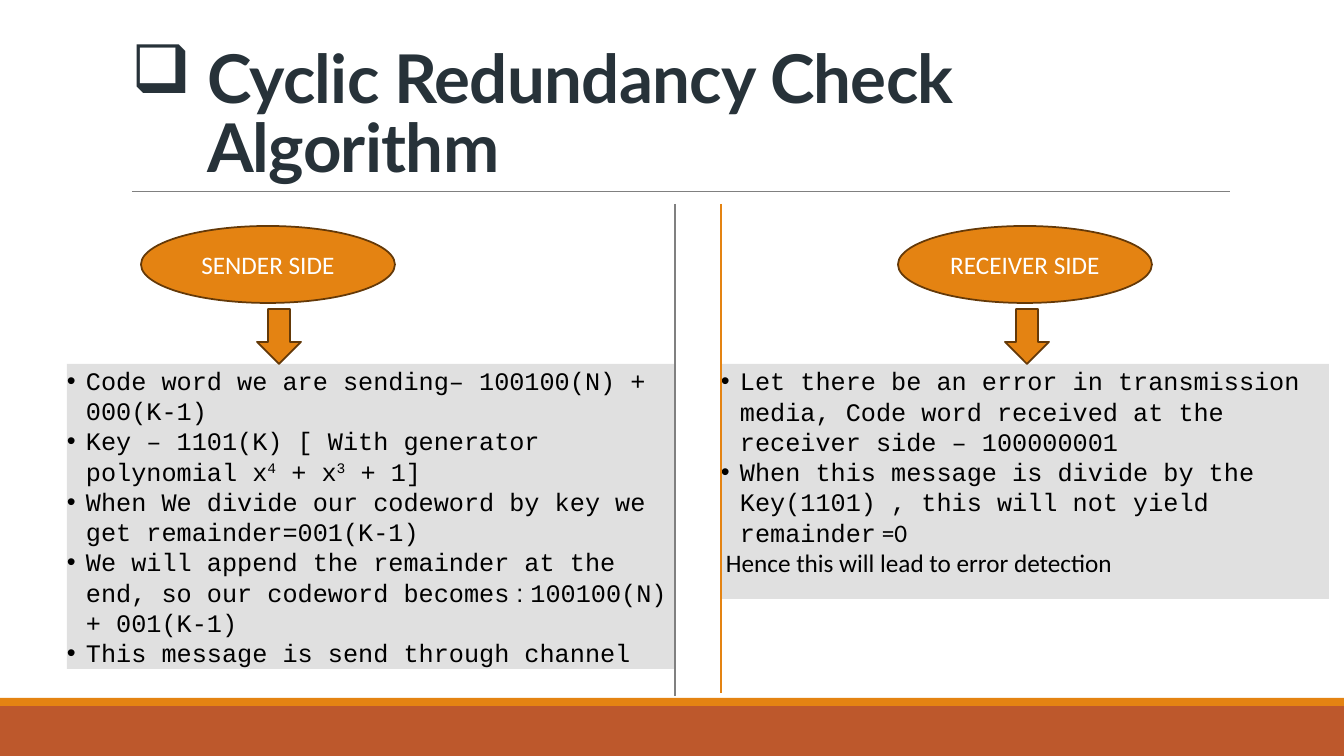
from lxml.etree import SubElement
from pptx import Presentation
from pptx.dml.color import RGBColor
from pptx.enum.shapes import MSO_CONNECTOR, MSO_SHAPE
from pptx.enum.text import MSO_ANCHOR, MSO_AUTO_SIZE, PP_ALIGN
from pptx.oxml.ns import qn
from pptx.util import Emu, Pt

COLORS = {
    "rust": "BD582C", "orange": "E48312", "brown": "643908", "gray": "808080",
    "panel": "E0E0E0", "title": "273239", "white": "FFFFFF", "black": "000000",
}
TITLE = "Cyclic Redundancy Check Algorithm"
MONO, SANS, SUPER = {"font": "Courier New"}, {"font": "Calibri"}, {"font": "Courier New", "baseline": 30000}
SENDER_STEPS = [
    [("Code word we are sending– 100100(N) + 000(K-1)", MONO)],
    [("Key – 1101(K) [ With generator polynomial x", MONO), ("4", SUPER),
     (" + x", MONO), ("3", SUPER), (" + 1]", MONO)],
    [("When We divide our codeword by key we get remainder=001(K-1)", MONO)],
    [("We will append the remainder at the end, so our codeword becomes", MONO),
     (" : ", {"font": "Arial"}), ("100100(N) + 001(K-1)", MONO)],
    [("This message is send through channel", MONO)],
]
RECEIVER_STEPS = [
    [("Let there be an error in transmission media, Code word received at the "
      "receiver side – 100000001", MONO)],
    [("When this message is divide by the Key(1101) , this will not yield remainder", MONO),
     (" =0", SANS)],
]
CONCLUSION = [("Hence this will lead to error detection", SANS)]
SIDES = [
    {"name": "SENDER SIDE", "oval": 141, "arrow": 257, "panel": 67, "height": 305,
     "bottom": 0, "steps": SENDER_STEPS, "closing": []},
    {"name": "RECEIVER SIDE", "oval": 898, "arrow": 1005, "panel": 721, "height": 235,
     "bottom": 20, "steps": RECEIVER_STEPS, "closing": [CONCLUSION]},
]
BANDS = [(706, 50, "rust"), (698, 8, "orange")]
RULES = [
    (132, 191, 1230, 191, "gray", 0.5),
    (675, 204, 675, 696, "gray", 1),
    (721, 204, 721, 693, "orange", 1),
]


def px(value):
    return Emu(round(value * 914400 / 100.8))


def color(name):
    return RGBColor.from_string(COLORS[name])


def add_box(page, kind, left, top, width, height, fill, line=None):
    box = page.shapes.add_shape(kind, px(left), px(top), px(width), px(height))
    box.shadow.inherit = False
    box.fill.solid()
    box.fill.fore_color.rgb = color(fill)
    if line:
        box.line.color.rgb = color(line)
        box.line.width = Pt(1.25)
    else:
        box.line.fill.background()
    return box


def add_rule(page, x1, y1, x2, y2, ink, width):
    rule = page.shapes.add_connector(MSO_CONNECTOR.STRAIGHT, px(x1), px(y1), px(x2), px(y2))
    rule.line.color.rgb = color(ink)
    rule.line.width = Pt(width)
    SubElement(rule._element.spPr, qn("a:effectLst"))


def write(para, text, font="Calibri", size=18, ink="black", bold=False, baseline=0, spacing=0):
    span = para.add_run()
    span.text = text
    span.font.name = font
    span.font.size = Pt(size)
    span.font.bold = bold
    span.font.color.rgb = color(ink)
    for key, value in (("baseline", baseline), ("spc", spacing)):
        if value:
            span._r.get_or_add_rPr().set(key, str(value))


def indent(para, left, hanging=0, bullet=None, font=None):
    props = para._p.get_or_add_pPr()
    props.set("marL", str(px(left)))
    props.set("indent", str(-px(hanging)))
    if font:
        SubElement(props, qn("a:buFont"), typeface=font)
    if bullet:
        SubElement(props, qn("a:buChar"), char=bullet)


def set_frame(box, anchor, insets=None):
    frame = box.text_frame
    frame.word_wrap = True
    frame.auto_size = MSO_AUTO_SIZE.NONE
    frame.vertical_anchor = anchor
    if insets:
        frame.margin_left, frame.margin_top, frame.margin_right, frame.margin_bottom = map(px, insets)
    return frame


def add_title(page):
    title = page.shapes.title
    title.left, title.top, title.width, title.height = px(121), px(31), px(1109), px(160)
    para = set_frame(title, MSO_ANCHOR.BOTTOM).paragraphs[0]
    para.alignment = PP_ALIGN.LEFT
    para.line_spacing = 0.85
    indent(para, 76, 76, "❑")
    write(para, TITLE, font="Lato", size=48, ink="title", bold=True, spacing=-50)


def add_side(page, side):
    oval = add_box(page, MSO_SHAPE.OVAL, side["oval"], 226, 254, 77, "orange", "brown")
    para = set_frame(oval, MSO_ANCHOR.MIDDLE).paragraphs[0]
    para.alignment = PP_ALIGN.CENTER
    write(para, side["name"], ink="white")

    panel = add_box(page, MSO_SHAPE.RECTANGLE, side["panel"], 364, 608, side["height"], "panel")
    frame = set_frame(panel, MSO_ANCHOR.MIDDLE, (0, 0, 0, side["bottom"]))
    for index, pieces in enumerate(side["steps"] + side["closing"]):
        para = frame.add_paragraph() if index else frame.paragraphs[0]
        para.alignment = PP_ALIGN.LEFT
        if index < len(side["steps"]):
            indent(para, 19, 19, "•", "Arial")
        else:
            indent(para, 5)
        for text, style in pieces:
            write(para, text, **style)

    add_box(page, MSO_SHAPE.DOWN_ARROW, side["arrow"], 309, 44, 55, "orange", "brown")


def main():
    deck = Presentation()
    deck.slide_width, deck.slide_height = px(1344), px(756)
    page = deck.slides.add_slide(deck.slide_layouts[5])
    for top, height, fill in BANDS:
        add_box(page, MSO_SHAPE.RECTANGLE, 0, top, 1344, height, fill)
    add_title(page)
    for side in SIDES:
        add_side(page, side)
    for rule in RULES:
        add_rule(page, *rule)
    deck.save("out.pptx")


if __name__ == "__main__":
    main()
